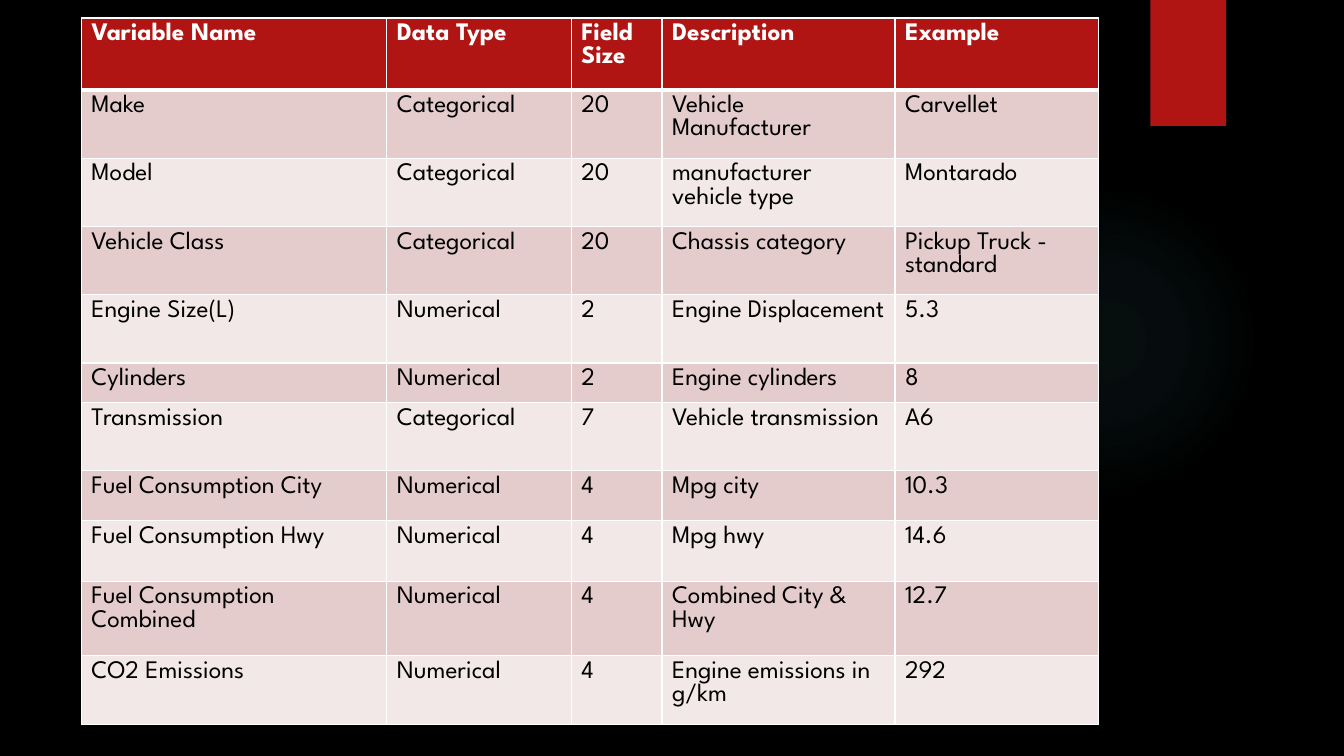
from dataclasses import dataclass

from lxml import etree
from pptx import Presentation
from pptx.dml.color import RGBColor as RGB
from pptx.enum.shapes import MSO_SHAPE as Preset
from pptx.oxml import parse_xml
from pptx.oxml.ns import nsdecls, qn
from pptx.util import Pt


@dataclass(frozen=True)
class Theme:
    font: str = "League Spartan"
    size: int = 18
    background: str = "000000"
    accent: str = "B01513"
    glow: str = "50B9C1"
    header_text: str = "FFFFFF"
    body_text: str = "000000"
    border: str = "FFFFFF"
    bands: tuple = ("E4CCCC", "F2E8E7")
    thin: int = 1
    thick: int = 3


# Data dictionary: name, type, size, description, example
HEADER = ("Variable Name", "Data Type", "Field Size", "Description", "Example")
VARIABLES = [
    ("Make", "Categorical", "20", "Vehicle Manufacturer", "Carvellet"),
    ("Model", "Categorical", "20", "manufacturer vehicle type", "Montarado"),
    ("Vehicle Class", "Categorical", "20", "Chassis category", "Pickup Truck - standard"),
    ("Engine Size(L)", "Numerical", "2", "Engine Displacement", "5.3"),
    ("Cylinders", "Numerical", "2", "Engine cylinders", "8"),
    ("Transmission", "Categorical", "7", "Vehicle transmission", "A6"),
    ("Fuel Consumption City", "Numerical", "4", "Mpg city", "10.3"),
    ("Fuel Consumption Hwy", "Numerical", "4", "Mpg hwy", "14.6"),
    ("Fuel Consumption Combined", "Numerical", "4", "Combined City & Hwy", "12.7"),
    ("CO2 Emissions", "Numerical", "4", "Engine emissions in g/km", "292"),
]
COLUMN_WIDTHS = (218.2, 131.8, 64.8, 166.4, 145.2)
ROW_HEIGHTS = (51.3, 48.8, 48.8, 48.8, 48.8, 28.1, 48.8, 35.7, 43.2, 53.4, 48.8)


def write(frame, text, *, font, size, color, bold=False):
    """Fill a text frame with one formatted run."""
    run = frame.paragraphs[0].add_run()
    run.text = text
    run.font.name = font
    run.font.size = Pt(size)
    run.font.bold = bold
    run.font.color.rgb = RGB.from_string(color)


class SlideBuilder:
    def __init__(self, slide, theme):
        self.slide = slide
        self.theme = theme

    def background(self):
        fill = self.slide.background.fill
        fill.solid()
        fill.fore_color.rgb = RGB.from_string(self.theme.background)

    def shape(self, preset, left, top, width, height, color):
        shape = self.slide.shapes.add_shape(
            preset, Pt(left), Pt(top), Pt(width), Pt(height))
        shape.shadow.inherit = False
        shape.fill.solid()
        shape.fill.fore_color.rgb = RGB.from_string(color)
        shape.line.fill.background()
        return shape

    def glow(self, left, top, diameter, stops):
        """Circle that fades outwards; stops are (position %, opacity %)."""
        color = self.theme.glow
        circle = self.shape(Preset.OVAL, left, top, diameter, diameter, color)
        stop_xml = "".join(
            f'<a:gs pos="{position * 1000}"><a:srgbClr val="{color}">'
            f'<a:alpha val="{opacity * 1000}"/></a:srgbClr></a:gs>'
            for position, opacity in stops)
        gradient = parse_xml(
            f'<a:gradFill {nsdecls("a")}><a:gsLst>{stop_xml}</a:gsLst>'
            '<a:path path="circle"><a:fillToRect l="50000" t="50000" '
            'r="50000" b="50000"/></a:path></a:gradFill>')
        properties = circle.fill._xPr
        properties.replace(properties.find(qn("a:solidFill")), gradient)

    def borders(self, cell, top, bottom):
        thin = self.theme.thin
        properties = cell._tc.get_or_add_tcPr()
        for side, width in (("L", thin), ("R", thin), ("T", top), ("B", bottom)):
            line = etree.SubElement(properties, qn(f"a:ln{side}"), w=str(Pt(width)))
            fill = etree.SubElement(line, qn("a:solidFill"))
            etree.SubElement(fill, qn("a:srgbClr"), val=self.theme.border)

    def table(self, left, top, widths, heights, rows):
        theme = self.theme
        table = self.slide.shapes.add_table(
            len(rows), len(widths), Pt(left), Pt(top),
            Pt(sum(widths)), Pt(sum(heights))).table
        table.horz_banding = False
        for column, width in zip(table.columns, widths):
            column.width = Pt(width)
        for index, (row, height, texts) in enumerate(zip(table.rows, heights, rows)):
            row.height = Pt(height)
            is_header = index == 0
            color = theme.accent if is_header else theme.bands[(index - 1) % 2]
            for cell, text in zip(row.cells, texts):
                self.borders(cell,
                             top=theme.thick if index == 1 else theme.thin,
                             bottom=theme.thick if is_header else theme.thin)
                cell.fill.solid()
                cell.fill.fore_color.rgb = RGB.from_string(color)
                write(cell.text_frame, text, font=theme.font, size=theme.size,
                      color=theme.header_text if is_header else theme.body_text,
                      bold=is_header)


def main():
    deck = Presentation()
    deck.slide_width, deck.slide_height = Pt(960), Pt(540)
    theme = Theme()
    builder = SlideBuilder(deck.slides.add_slide(deck.slide_layouts[6]), theme)

    # Backdrop: soft glow and corner tab
    builder.background()
    builder.glow(677.5, 131.8, 221.8, stops=[(0, 7), (36, 6), (69, 0)])
    builder.shape(Preset.RECTANGLE, 821.8, 0, 54, 90, theme.accent)

    # Data dictionary table
    builder.table(58.1, 12.9, COLUMN_WIDTHS, ROW_HEIGHTS, [HEADER, *VARIABLES])

    deck.save("out.pptx")


if __name__ == "__main__":
    main()
